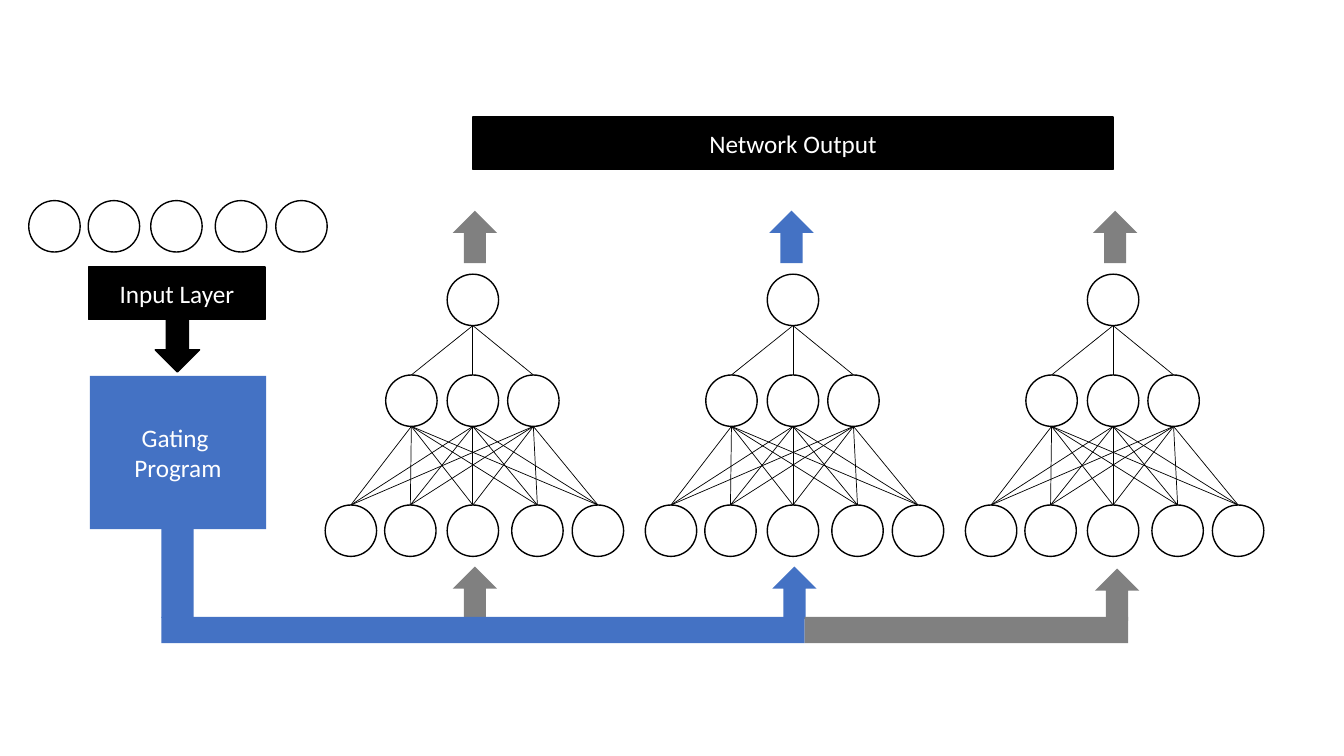
from itertools import product
from lxml.etree import SubElement
from pptx import Presentation
from pptx.dml.color import RGBColor
from pptx.enum.shapes import MSO_CONNECTOR, MSO_SHAPE
from pptx.enum.text import MSO_ANCHOR, PP_ALIGN
from pptx.oxml.ns import qn
from pptx.util import Inches, Pt

THEME = {
    "black": RGBColor(0x00, 0x00, 0x00),
    "blue": RGBColor(0x44, 0x72, 0xC4),
    "gray": RGBColor(0x80, 0x80, 0x80),
    "white": RGBColor(0xFF, 0xFF, 0xFF),
    "font": "Calibri",
    "size": Pt(18),
    "outline": Pt(1),
    "edge": Pt(0.5),
}

NODE = 0.51
ARROW_W, ARROW_H = 0.44, 0.52
FIVE = (-1.21, -0.62, 0, 0.64, 1.24)
THREE = (-0.61, 0, 0.6)
LAYERS = [(5.01, FIVE), (3.72, THREE), (2.72, (0,))]
INPUT_LAYER = [(1.99, FIVE)]
INPUT_X = 1.75
EXPERT_X = [4.69 + 3.175 * i for i in range(3)]

FEED_ARROWS = [
    (4.49, 5.62, "gray"),
    (7.66, 5.62, "blue"),
    (10.86, 5.64, "gray"),
]
OUTPUT_ARROWS = [
    (4.49, 2.09, "gray"),
    (7.63, 2.09, "blue"),
    (10.84, 2.09, "gray"),
]
BUS = [
    (1.6, 4.38, 0.32, 1.75, "blue"),
    (1.6, 6.12, 6.38, 0.26, "blue"),
    (7.98, 6.12, 3.21, 0.26, "gray"),
]
BOXES = [
    (0.89, 3.73, 1.75, 1.52, "blue", ["Gating ", "Program"]),
    (0.88, 2.65, 1.75, 0.52, "black", ["Input Layer"]),
    (4.69, 1.16, 6.35, 0.52, "black", ["Network Output"]),
]

prs = Presentation()
prs.slide_width, prs.slide_height = Inches(13.33), Inches(7.5)
s = prs.slides.add_slide(prs.slide_layouts[6])


def add_shape(parent, kind, x, y, w, h, fill=None, line=None):
    sp = parent.add_shape(kind, Inches(x), Inches(y), Inches(w), Inches(h))
    sp.shadow.inherit = False
    if fill:
        sp.fill.solid()
        sp.fill.fore_color.rgb = THEME[fill]
    else:
        sp.fill.background()
    if line:
        sp.line.color.rgb = THEME[line]
        sp.line.width = THEME["outline"]
    else:
        sp.line.fill.background()
    return sp


def add_edge(parent, x1, y1, x2, y2):
    cx = parent.add_connector(
        MSO_CONNECTOR.STRAIGHT, Inches(x1), Inches(y1), Inches(x2), Inches(y2)
    )
    cx.line.color.rgb = THEME["black"]
    cx.line.width = THEME["edge"]
    SubElement(cx._element.spPr, qn("a:effectLst"))


def add_network(center, layers):
    group = s.shapes.add_group_shape().shapes
    for top, offsets in layers:
        for dx in offsets:
            add_shape(group, MSO_SHAPE.OVAL, center + dx - NODE / 2, top,
                      NODE, NODE, line="black")
    for (low, starts), (high, ends) in zip(layers, layers[1:]):
        for end, start in product(ends, starts):
            add_edge(group, center + start, low, center + end, high + NODE)


def add_box(x, y, w, h, color, lines):
    outline = "black" if color == "black" else None
    sp = add_shape(s.shapes, MSO_SHAPE.RECTANGLE, x, y, w, h, color, outline)
    tf = sp.text_frame
    tf.word_wrap = True
    tf.vertical_anchor = MSO_ANCHOR.MIDDLE
    for i, text in enumerate(lines):
        p = tf.add_paragraph() if i else tf.paragraphs[0]
        p.alignment = PP_ALIGN.CENTER
        r = p.add_run()
        r.text = text
        r.font.name = THEME["font"]
        r.font.size = THEME["size"]
        r.font.color.rgb = THEME["white"]


for center in EXPERT_X:
    add_network(center, LAYERS)
add_network(INPUT_X, INPUT_LAYER)
for x, y, color in FEED_ARROWS + OUTPUT_ARROWS:
    add_shape(s.shapes, MSO_SHAPE.UP_ARROW, x, y, ARROW_W, ARROW_H, color)
for x, y, w, h, color in BUS:
    add_shape(s.shapes, MSO_SHAPE.RECTANGLE, x, y, w, h, color)
add_shape(s.shapes, MSO_SHAPE.DOWN_ARROW, 1.54, 3.17, ARROW_W, ARROW_H,
          "black", "black")
for box in BOXES:
    add_box(*box)

prs.save("out.pptx")
